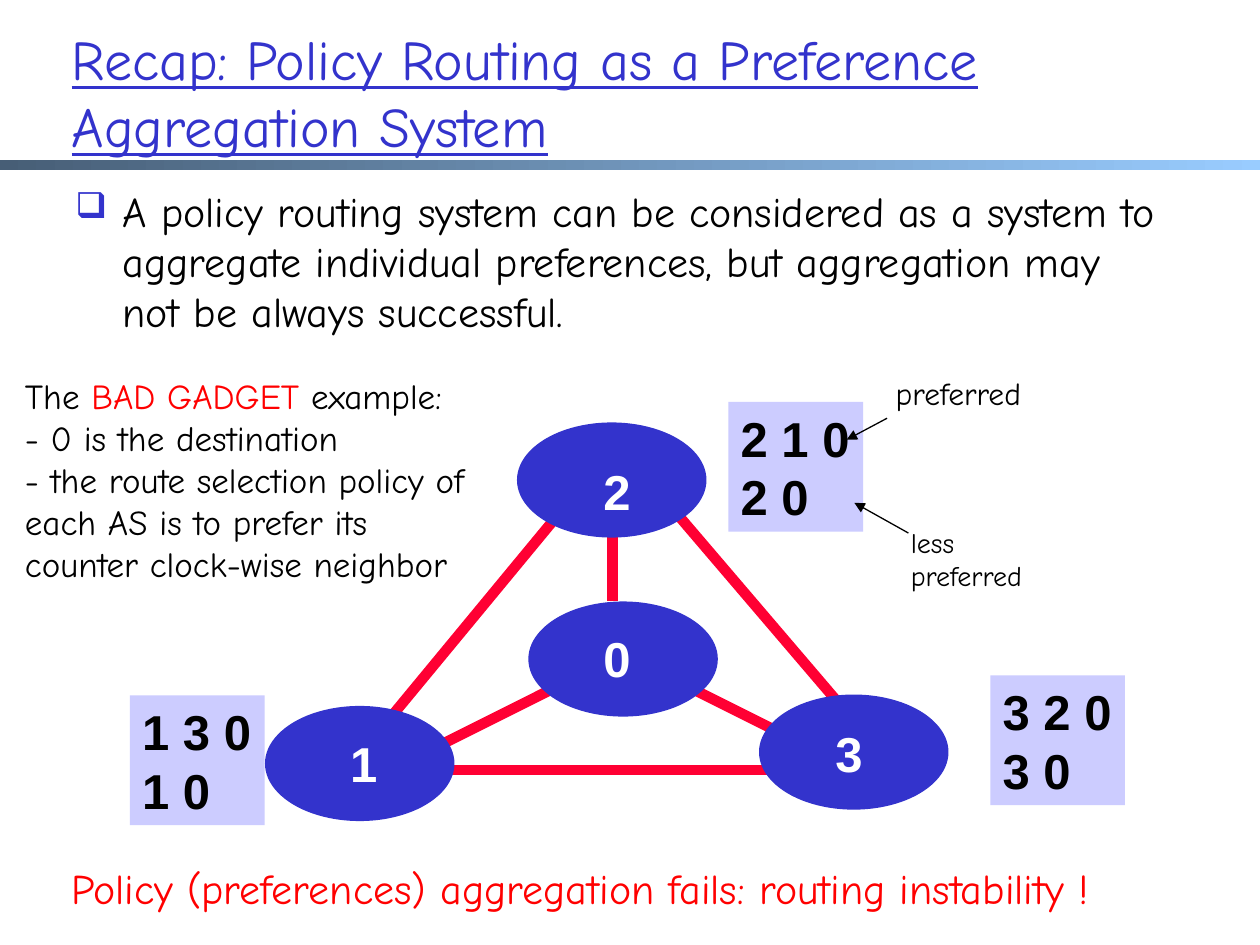
from dataclasses import dataclass

from lxml.etree import SubElement
from pptx import Presentation
from pptx.dml.color import RGBColor
from pptx.enum.shapes import MSO_CONNECTOR, MSO_SHAPE
from pptx.enum.text import MSO_ANCHOR, PP_ALIGN
from pptx.oxml.ns import qn
from pptx.slide import Slide
from pptx.text.text import TextFrame
from pptx.util import Pt


@dataclass(frozen=True)
class Theme:
    blue: str = "3333CC"
    pale: str = "CCCCFF"
    red: str = "FF0000"
    link: str = "FF0033"
    black: str = "000000"
    white: str = "FFFFFF"
    bar_start: str = "475E76"
    bar_end: str = "99CCFF"
    hand: str = "Comic Neue"
    plain: str = "Arial"
    title: float = 32
    digit: float = 28
    body: float = 24
    note: float = 20
    label: float = 18
    small_label: float = 16


@dataclass(frozen=True)
class Box:
    left: float
    top: float
    width: float
    height: float

    def lengths(self) -> tuple[Pt, ...]:
        return Pt(self.left), Pt(self.top), Pt(self.width), Pt(self.height)


@dataclass(frozen=True)
class Line:
    x1: float
    y1: float
    x2: float
    y2: float


@dataclass(frozen=True)
class Node:
    name: str
    left: float
    top: float
    name_left: float
    name_top: float


@dataclass(frozen=True)
class Routes:
    left: float
    top: float
    ranked: tuple[str, str]


@dataclass(frozen=True)
class Span:
    text: str
    color: str


THEME = Theme()

LINKS = (
    Line(506.2, 433.4, 367.9, 271.4),
    Line(337.7, 271.4, 193.7, 445.7),
    Line(349.9, 253.4, 349.9, 343.4),
    Line(344.2, 379.4, 247.7, 427.7),
    Line(463.7, 427.7, 391.7, 391.7),
    Line(517.7, 439.9, 193.7, 439.9),
)
NODES = (
    Node("2", 295.9, 241.9, 337.7, 259.9),
    Node("0", 302.4, 344.2, 337.7, 355.7),
    Node("3", 434.2, 397.4, 470.2, 409.7),
    Node("1", 151.9, 403.9, 193, 415.4),
)
ROUTES = (
    Routes(416.2, 229.7, ("2 1 0", "2 0")),
    Routes(74.2, 397.4, ("1 3 0", "1 0")),
    Routes(565.9, 385.9, ("3 2 0", "3 0")),
)
POINTERS = (
    Line(506.9, 239, 483.8, 251.3),
    Line(519.1, 304.6, 488.2, 287.3),
)


def rgb(color: str) -> RGBColor:
    return RGBColor.from_string(color)


def add_bullet(paragraph, mark: str, color: str, percent: int, indent: float) -> None:
    properties = paragraph._p.get_or_add_pPr()
    properties.set("marL", str(Pt(indent)))
    properties.set("indent", str(-Pt(indent)))
    tint = SubElement(properties, qn("a:buClr"))
    SubElement(tint, qn("a:srgbClr"), val=color)
    SubElement(properties, qn("a:buSzPct"), val=str(percent * 1000))
    SubElement(properties, qn("a:buChar"), char=mark)


def write(frame: TextFrame, *paragraphs: str | tuple[Span, ...], size: float,
          color: str = THEME.black, font: str = THEME.hand, bold: bool = False,
          underline: bool = False, wrap: bool = False,
          anchor: MSO_ANCHOR = MSO_ANCHOR.TOP, bullet: str = "") -> None:
    frame.word_wrap = wrap
    frame.vertical_anchor = anchor
    for index, content in enumerate(paragraphs):
        paragraph = frame.add_paragraph() if index else frame.paragraphs[0]
        paragraph.alignment = PP_ALIGN.LEFT
        if bullet:
            add_bullet(paragraph, bullet, THEME.blue, 85, 27)
        spans = (Span(content, color),) if isinstance(content, str) else content
        for span in spans:
            run = paragraph.add_run()
            run.text = span.text
            run.font.name = font
            run.font.size = Pt(size)
            run.font.bold = bold
            run.font.underline = underline
            run.font.color.rgb = rgb(span.color)


def text_area(slide: Slide, box: Box) -> TextFrame:
    return slide.shapes.add_textbox(*box.lengths()).text_frame


def add_line(slide: Slide, line: Line, color: str, width: float, arrow: bool = False) -> None:
    connector = slide.shapes.add_connector(
        MSO_CONNECTOR.STRAIGHT, Pt(line.x1), Pt(line.y1), Pt(line.x2), Pt(line.y2))
    connector.line.color.rgb = rgb(color)
    connector.line.width = Pt(width)
    if arrow:
        SubElement(connector.line._get_or_add_ln(), qn("a:tailEnd"), type="triangle")
    SubElement(connector._element.spPr, qn("a:effectLst"))


def add_solid(slide: Slide, kind: MSO_SHAPE, box: Box, color: str):
    solid = slide.shapes.add_shape(kind, *box.lengths())
    solid.shadow.inherit = False
    solid.fill.solid()
    solid.fill.fore_color.rgb = rgb(color)
    solid.line.fill.background()
    return solid


def add_title_bar(slide: Slide) -> None:
    bar = add_solid(slide, MSO_SHAPE.RECTANGLE, Box(0, 91.4, 720, 5.8), THEME.bar_start)
    bar.fill.gradient()
    bar.fill.gradient_angle = 0
    for stop, color in zip(bar.fill.gradient_stops, (THEME.bar_start, THEME.bar_end)):
        stop.color.rgb = rgb(color)


def add_node(slide: Slide, node: Node) -> None:
    oval = add_solid(slide, MSO_SHAPE.OVAL, Box(node.left, node.top, 107.3, 64.8), THEME.blue)
    oval.line.color.rgb = rgb(THEME.blue)
    oval.line.width = Pt(1)
    write(text_area(slide, Box(node.name_left, node.name_top, 30.2, 41)), node.name,
          size=THEME.digit, color=THEME.white, font=THEME.plain, bold=True)


def add_routes(slide: Slide, routes: Routes) -> None:
    panel = add_solid(slide, MSO_SHAPE.RECTANGLE, Box(routes.left, routes.top, 77, 74.2), THEME.pale)
    write(panel.text_frame, *routes.ranked, size=THEME.digit, font=THEME.plain, bold=True)


def main() -> None:
    deck = Presentation()
    deck.slide_width, deck.slide_height = Pt(720), Pt(540)
    slide = deck.slides.add_slide(deck.slide_layouts[6])

    add_title_bar(slide)
    write(text_area(slide, Box(33.8, 20.2, 649.4, 64.1)),
          "Recap: Policy Routing as a Preference Aggregation System",
          size=THEME.title, color=THEME.blue, underline=True, wrap=True, anchor=MSO_ANCHOR.MIDDLE)
    write(text_area(slide, Box(36, 102.2, 634.3, 382.3)),
          "A policy routing system can be considered as a system to aggregate individual "
          "preferences, but aggregation may not be always successful.",
          size=THEME.body, wrap=True, bullet="❑")

    for link in LINKS:
        add_line(slide, link, THEME.link, 6)
    for node in NODES:
        add_node(slide, node)
    for routes in ROUTES:
        add_routes(slide, routes)
    for pointer in POINTERS:
        add_line(slide, pointer, THEME.black, 0.75, arrow=True)

    write(text_area(slide, Box(504.7, 210.2, 99.4, 28.8)), "preferred", size=THEME.label)
    write(text_area(slide, Box(513.4, 296.6, 90, 46.1)), "less", "preferred", size=THEME.small_label)
    write(text_area(slide, Box(7.2, 210.2, 277.9, 127.4)),
          (Span("The ", THEME.black), Span("BAD GADGET", THEME.red), Span(" example:", THEME.black)),
          "- 0 is the destination",
          "- the route selection policy of each AS is to prefer its counter clock-wise neighbor",
          size=THEME.note, wrap=True)
    write(text_area(slide, Box(33.8, 489.6, 667.4, 36)),
          "Policy (preferences) aggregation fails: routing instability !",
          size=THEME.body, color=THEME.red)
    deck.save("out.pptx")


if __name__ == "__main__":
    main()
